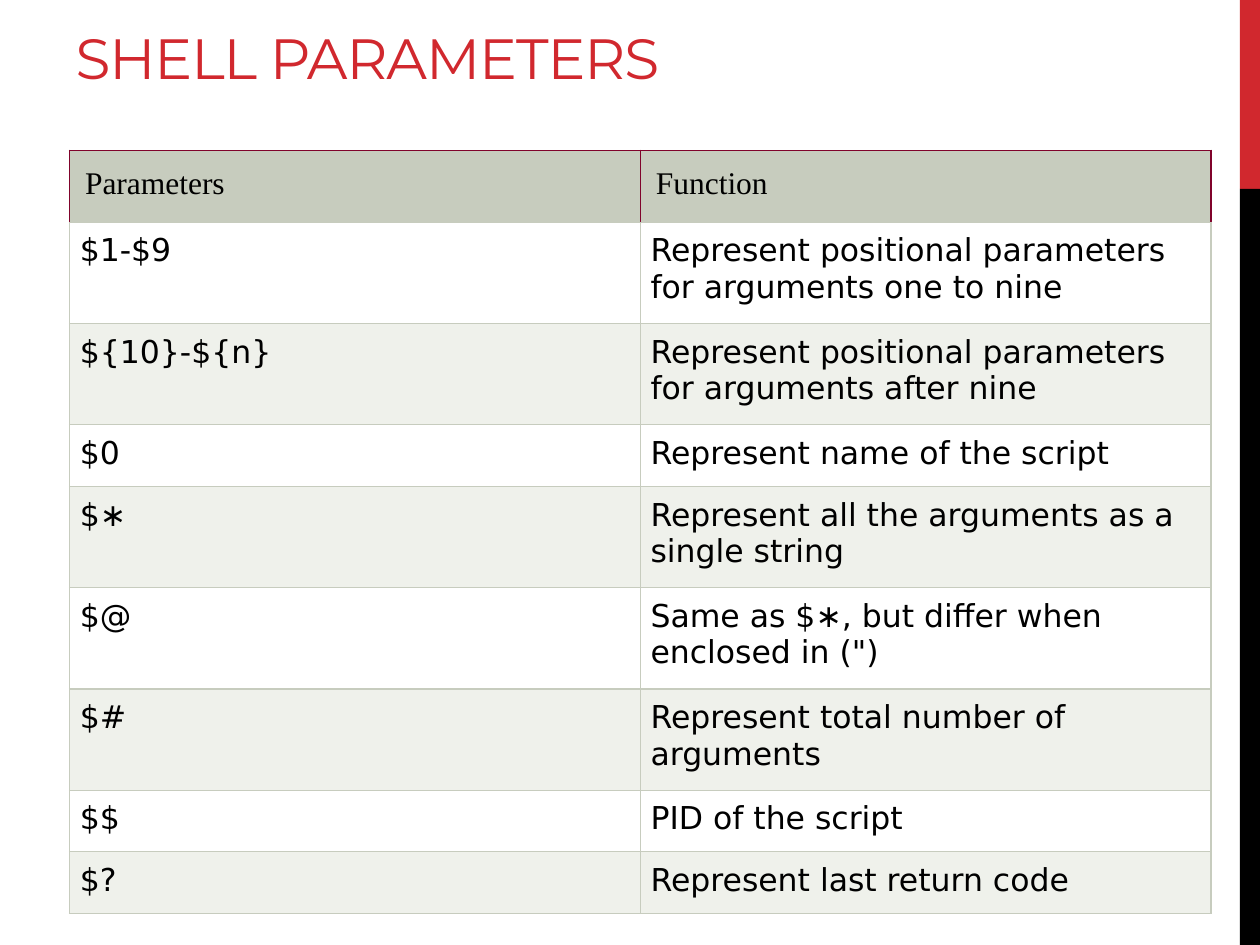
from dataclasses import dataclass

from lxml.etree import SubElement as Sub
from pptx import Presentation
from pptx.dml.color import RGBColor as Rgb
from pptx.enum.shapes import MSO_SHAPE as Kind
from pptx.enum.text import MSO_ANCHOR as Anchor, MSO_AUTO_SIZE as Fit, PP_ALIGN as Align
from pptx.oxml.ns import qn
from pptx.util import Pt


@dataclass(frozen=True)
class Theme:
    """Colours, fonts and type sizes."""
    red: str = "D1282E"
    black: str = "000000"
    white: str = "FFFFFF"
    sage: str = "C7CCBE"
    pale: str = "EFF1EB"
    wine: str = "80032B"
    title: str = "Montserrat"
    head: str = "Times New Roman"
    body: str = "DejaVu Sans"
    large: float = 32.4
    text: float = 18


class Deck:
    """Draws elements on the current slide in one theme."""

    def __init__(self, theme, wide, high):
        """Start a deck with one title-only slide."""
        self.theme = theme
        self.file = Presentation()
        self.file.slide_width, self.file.slide_height = Pt(wide), Pt(high)
        self.slide = self.file.slides.add_slide(self.file.slide_layouts[5])

    def style(self, frame, font, size, color):
        """Format every run of a text frame."""
        for para in frame.paragraphs:
            para.alignment = Align.LEFT
            for run in para.runs:
                run.font.name, run.font.size = font, Pt(size)
                run.font.bold = False
                run.font.color.rgb = Rgb.from_string(color)

    def bar(self, left, top, wide, high, color):
        """Add a plain filled rectangle."""
        box = self.slide.shapes.add_shape(Kind.RECTANGLE, Pt(left), Pt(top), Pt(wide), Pt(high))
        box.shadow.inherit = False
        box.fill.solid()
        box.fill.fore_color.rgb = Rgb.from_string(color)
        box.line.fill.background()

    def title(self, text, left, top, wide, high):
        """Fill and place the title placeholder."""
        box = self.slide.shapes.title
        box.left, box.top, box.width, box.height = Pt(left), Pt(top), Pt(wide), Pt(high)
        frame = box.text_frame
        frame.text = text
        frame.auto_size, frame.vertical_anchor = Fit.NONE, Anchor.BOTTOM
        self.style(frame, self.theme.title, self.theme.large, self.theme.red)
        frame.paragraphs[0].runs[0].font._element.set("spc", "-60")

    def edge(self, cell, side, color):
        """Add one border line to a cell."""
        line = Sub(cell._tc.get_or_add_tcPr(), qn(f"a:ln{side}"), w=str(Pt(0.75)))
        Sub(Sub(line, qn("a:solidFill")), qn("a:srgbClr"), val=color)

    def cell(self, cell, text, font, pad, fill, edges):
        """Write and format one table cell."""
        cell.text = text
        self.style(cell.text_frame, font, self.theme.text, self.theme.black)
        cell.margin_left = cell.margin_right = cell.margin_top = cell.margin_bottom = Pt(pad)
        cell.vertical_anchor = Anchor.TOP
        for side, color in zip("LRTB", edges):
            self.edge(cell, side, color)
        cell.fill.solid()
        cell.fill.fore_color.rgb = Rgb.from_string(fill)

    def table(self, rows, left, top, wide, highs):
        """Add a table with a header row and banded rows."""
        look = self.theme
        count = len(rows[0])
        grid = self.slide.shapes.add_table(
            len(rows), count, Pt(left), Pt(top), Pt(wide), Pt(sum(highs))).table
        grid.first_row = grid.horz_banding = False
        for col in grid.columns:
            col.width = Pt(wide / count)
        for i, (row, high) in enumerate(zip(rows, highs)):
            grid.rows[i].height = Pt(high)
            if i == 0:
                kit = look.head, 9, look.sage, [look.wine] * 3 + [look.sage]
            else:
                kit = look.body, 6, look.white if i % 2 else look.pale, [look.sage] * 4
            for j, text in enumerate(row):
                self.cell(grid.cell(i, j), text, *kit)


ROWS = [
    ("Parameters", "Function"),
    ("$1-$9", "Represent positional parameters for arguments one to nine"),
    ("${10}-${n}", "Represent positional parameters for arguments after nine"),
    ("$0", "Represent name of the script"),
    ("$∗", "Represent all the arguments as a single string"),
    ("$@", "Same as $∗, but differ when enclosed in (\")"),
    ("$#", "Represent total number of arguments"),
    ("$$", "PID of the script"),
    ("$?", "Represent last return code"),
]


def main():
    """Build and save the slide."""
    theme = Theme()
    deck = Deck(theme, 720, 540)
    deck.bar(708.5, 0, 11.5, 108, theme.red)
    deck.bar(708.5, 108, 11.5, 432, theme.black)
    deck.title("SHELL PARAMETERS", 36, 7.2, 582, 48.2)
    one, two = 35.2, 57.9
    deck.table(ROWS, 39.6, 85.8, 652.4, [41.2, two, two, one, two, two, two, one, one])
    deck.file.save("out.pptx")


if __name__ == "__main__":
    main()
